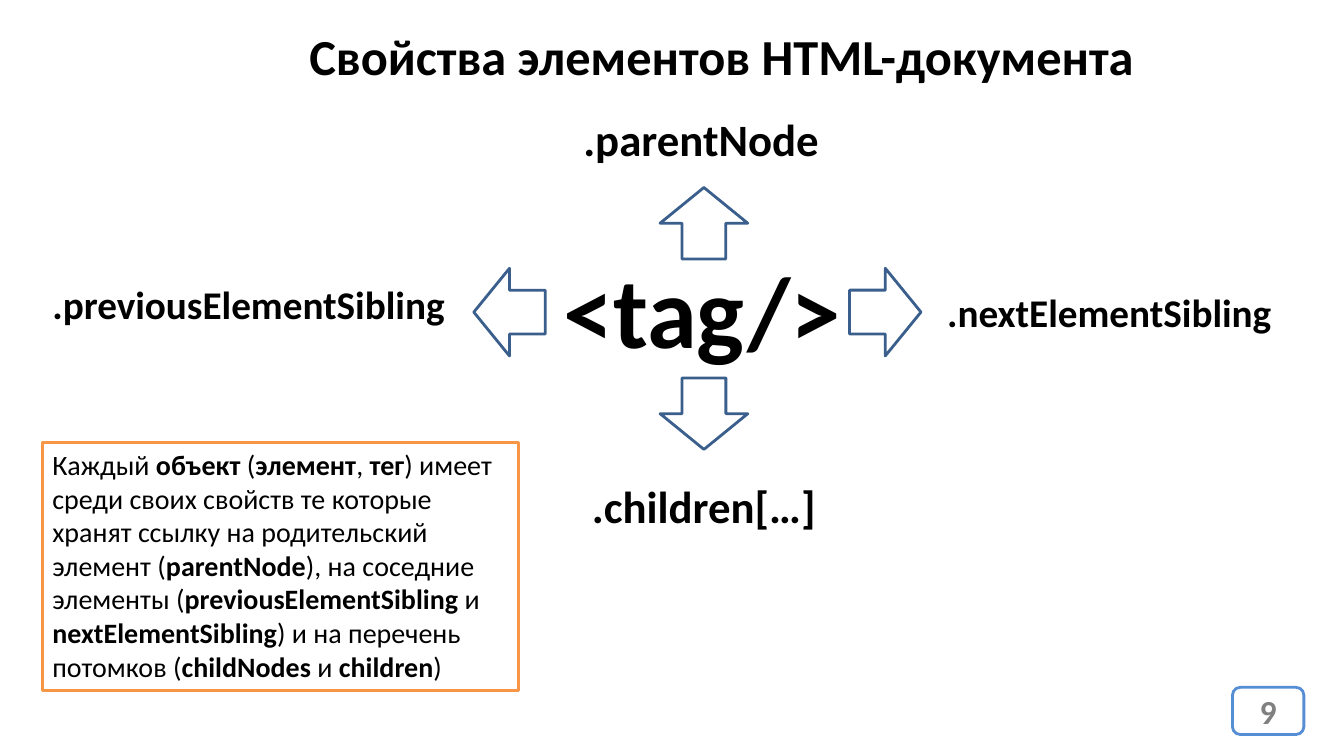
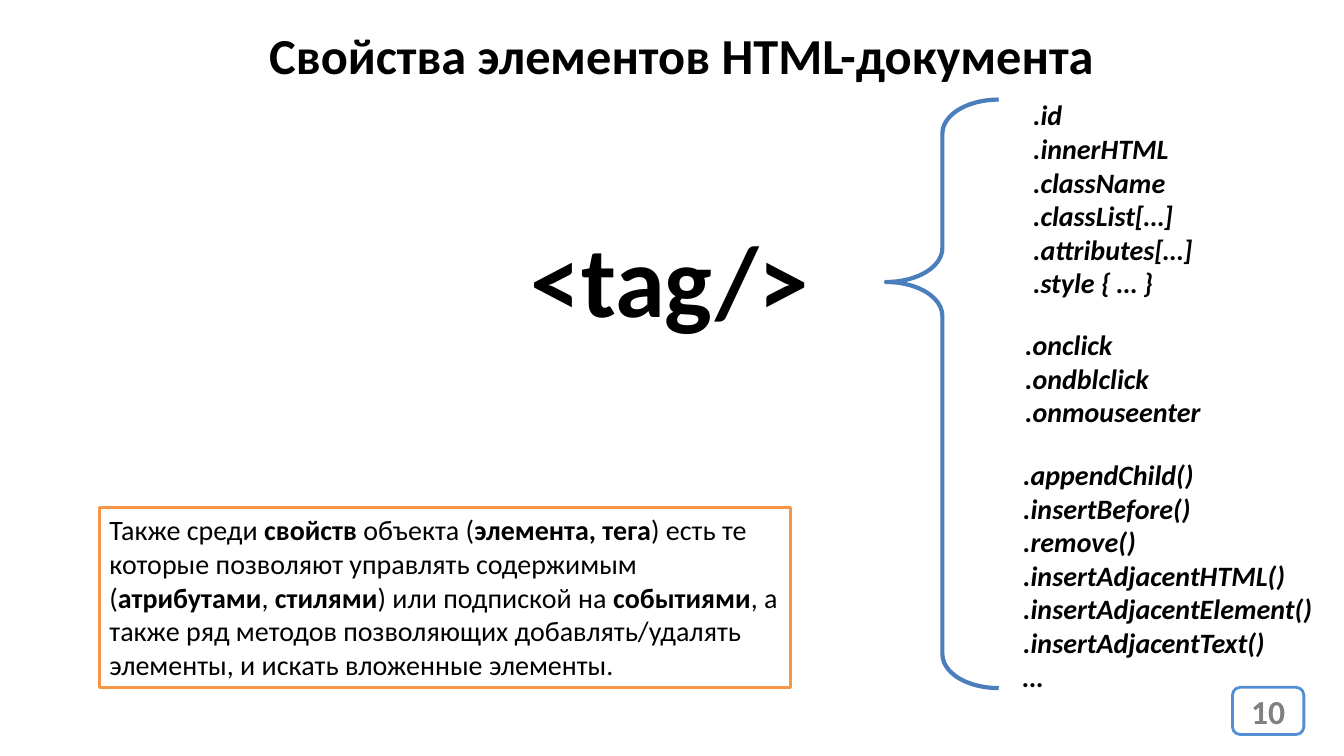
import pptx
import pptx.dml.color
import pptx.enum.shapes
import pptx.enum.text
import pptx.oxml
import pptx.util
from dataclasses import dataclass
from typing import Any

Cm = pptx.util.Cm
KIND = pptx.enum.shapes.MSO_SHAPE
ALIGN = pptx.enum.text.PP_ALIGN
ANCHOR = pptx.enum.text.MSO_ANCHOR
FIT = pptx.enum.text.MSO_AUTO_SIZE

# Shared look
HUES = {"ink": "000000", "paper": "FFFFFF", "gray": "808080",
        "badge": "558ED5", "arrow": "3A5F8C", "note": "F79646", "brace": "4B7EBC"}
FACE = "Calibri"
TITLE = "Свойства элементов HTML-документа"
TAG = "<tag/>"
FRAME = {"vertical_anchor": ANCHOR.TOP, "auto_size": FIT.NONE, "word_wrap": True}
LOOSE = FRAME | {"word_wrap": False}
PLAIN = {"alignment": ALIGN.LEFT, "space_before": pptx.util.Pt(0)}
MID = PLAIN | {"alignment": ALIGN.CENTER}


@dataclass
class Box:
    left: float
    top: float
    wide: float
    high: float

    def spot(self) -> tuple:
        return Cm(self.left), Cm(self.top), Cm(self.wide), Cm(self.high)


@dataclass
class Label:
    text: str
    box: Box
    size: int
    para: dict
    frame: dict


@dataclass
class Arrow:
    left: float
    top: float
    turn: int


@dataclass
class Group:
    slot: int
    box: Box
    lines: list[str]


def tint(name: str) -> pptx.dml.color.RGBColor:
    return pptx.dml.color.RGBColor.from_string(HUES[name])


def apply(item: Any, form: dict) -> None:
    for key, value in form.items():
        setattr(item, key, value)


def place(shape: Any, box: Box) -> None:
    apply(shape, dict(zip(("left", "top", "width", "height"), box.spot())))


def write(shape: Any, lines: list[str], size: int, frame: dict = FRAME,
          para: dict = PLAIN, hue: str = "ink", bold: bool = True,
          slant: bool = False) -> None:
    """Fill a frame; each ** in a line flips the weight."""
    body = shape.text_frame
    apply(body, frame)
    for row, line in enumerate(lines):
        block = body.paragraphs[0] if row == 0 else body.add_paragraph()
        apply(block, para)
        for part, text in enumerate(line.split("**")):
            if text:
                run = block.add_run()
                run.text = text
                apply(run.font, {"name": FACE, "size": pptx.util.Pt(size),
                                 "bold": bold != (part % 2 == 1), "italic": slant})
                run.font.color.rgb = tint(hue)


def draw(slide: Any, kind: Any, box: Box, line: str, width: float,
         fill: str | None = None) -> Any:
    shape = slide.shapes.add_shape(kind, *box.spot())
    shape.shadow.inherit = False
    if fill:
        shape.fill.solid()
        shape.fill.fore_color.rgb = tint(fill)
    else:
        shape.fill.background()
    shape.line.color.rgb = tint(line)
    shape.line.width = pptx.util.Pt(width)
    return shape


def label(slide: Any, item: Label) -> None:
    shape = slide.shapes.add_textbox(*item.box.spot())
    write(shape, [item.text], item.size, item.frame, item.para)


def note(slide: Any, box: Box, text: str) -> None:
    shape = draw(slide, KIND.RECTANGLE, box, "note", 2.25)
    write(shape, [text], 20, bold=False)


def group(slide: Any, item: Group) -> None:
    shape = slide.placeholders[item.slot]
    place(shape, item.box)
    write(shape, item.lines, 20, LOOSE, slant=True)
    for block in shape.text_frame.paragraphs:
        props = block._p.get_or_add_pPr()
        apply_to = {"marL": "0", "indent": "0"}
        for key, value in apply_to.items():
            props.set(key, value)
        props.append(pptx.oxml.parse_xml(
            '<a:buNone xmlns:a="http://schemas.openxmlformats.org/drawingml/2006/main"/>'))


def start(deck: Any, plan: int, number: int, head: Box, tag: Box) -> Any:
    """Add a slide with its number badge, title and central tag."""
    slide = deck.slides.add_slide(deck.slide_layouts[plan])
    badge = draw(slide, KIND.ROUNDED_RECTANGLE, Box(31.06, 17.32, 1.8, 1.19),
                 "badge", 2, "paper")
    write(badge, [str(number)], 24, FRAME | {"vertical_anchor": ANCHOR.MIDDLE},
          MID, "gray")
    place(slide.shapes.title, head)
    write(slide.shapes.title, [TITLE], 36, LOOSE)
    label(slide, Label(TAG, tag, 72, PLAIN, LOOSE))
    return slide


deck = pptx.Presentation()
apply(deck, {"slide_width": Cm(33.87), "slide_height": Cm(19.05)})

# Links between neighbours
slide = start(deck, 5, 9, Box(7.54, 0.51, 21.56, 1.8), Box(13.94, 6.12, 7.6, 3.33))
for arrow in (Arrow(21.41, 6.76, 0), Arrow(11.94, 6.76, 180),
              Arrow(16.84, 4.52, 270), Arrow(16.84, 9.32, 90)):
    shape = draw(slide, KIND.RIGHT_ARROW, Box(arrow.left, arrow.top, 1.8, 2.21),
                 "arrow", 2, "paper")
    shape.rotation = arrow.turn
for item in (
    Label(".parentNode", Box(13.87, 2.69, 7.6, 1.63), 32, MID, FRAME),
    Label(".children[…]", Box(13.94, 11.94, 7.6, 1.63), 32, MID, FRAME),
    Label(".nextElementSibling", Box(23.62, 7.14, 9.19, 1.45), 28, PLAIN, FRAME),
    Label(".previousElementSibling", Box(1.07, 6.93, 16.94, 1.45), 28, PLAIN, FRAME),
):
    label(slide, item)
note(slide, Box(1.07, 11.15, 11.99, 6.25),
     "Каждый **объект** (**элемент**, **тег**) имеет среди своих свойств те "
     "которые хранят ссылку на родительский элемент (**parentNode**), на соседние "
     "элементы (**previousElementSibling** и **nextElementSibling**) и на перечень "
     "потомков (**childNodes **и **children**)")

# Members of an element
slide = start(deck, 4, 10, Box(6.53, 0.48, 21.56, 1.8), Box(13.13, 5.33, 7.6, 3.33))
note(slide, Box(2.51, 12.8, 17.42, 4.52),
     "Также среди **свойств** объекта (**элемента, тега**) есть те которые "
     "позволяют управлять содержимым (**атрибутами**, **стилями**) или подпиской "
     "на **событиями**, а также ряд методов позволяющих добавлять/удалять "
     "элементы, и искать вложенные элементы.")
brace = draw(slide, KIND.LEFT_BRACE, Box(22.33, 2.51, 2.84, 14.83), "brace", 3)
brace.adjustments[0] = 0.3
brace.adjustments[1] = 0.31
for item in (
    Group(1, Box(25.78, 2.34, 4.57, 5.38),
          [".id", ".innerHTML", ".className", ".classList[…]", ".attributes[…]",
           ".style { … }"]),
    Group(2, Box(25.58, 8.13, 4.98, 2.82),
          [".onclick", ".ondblclick", ".onmouseenter"]),
    Group(3, Box(25.53, 11.4, 7.85, 6.25),
          [".appendChild()", ".insertBefore()", ".remove()",
           ".insertAdjacentHTML()", ".insertAdjacentElement()",
           ".insertAdjacentText()", "…"]),
):
    group(slide, item)
spare = slide.placeholders[4].element
spare.getparent().remove(spare)

deck.save("out.pptx")
